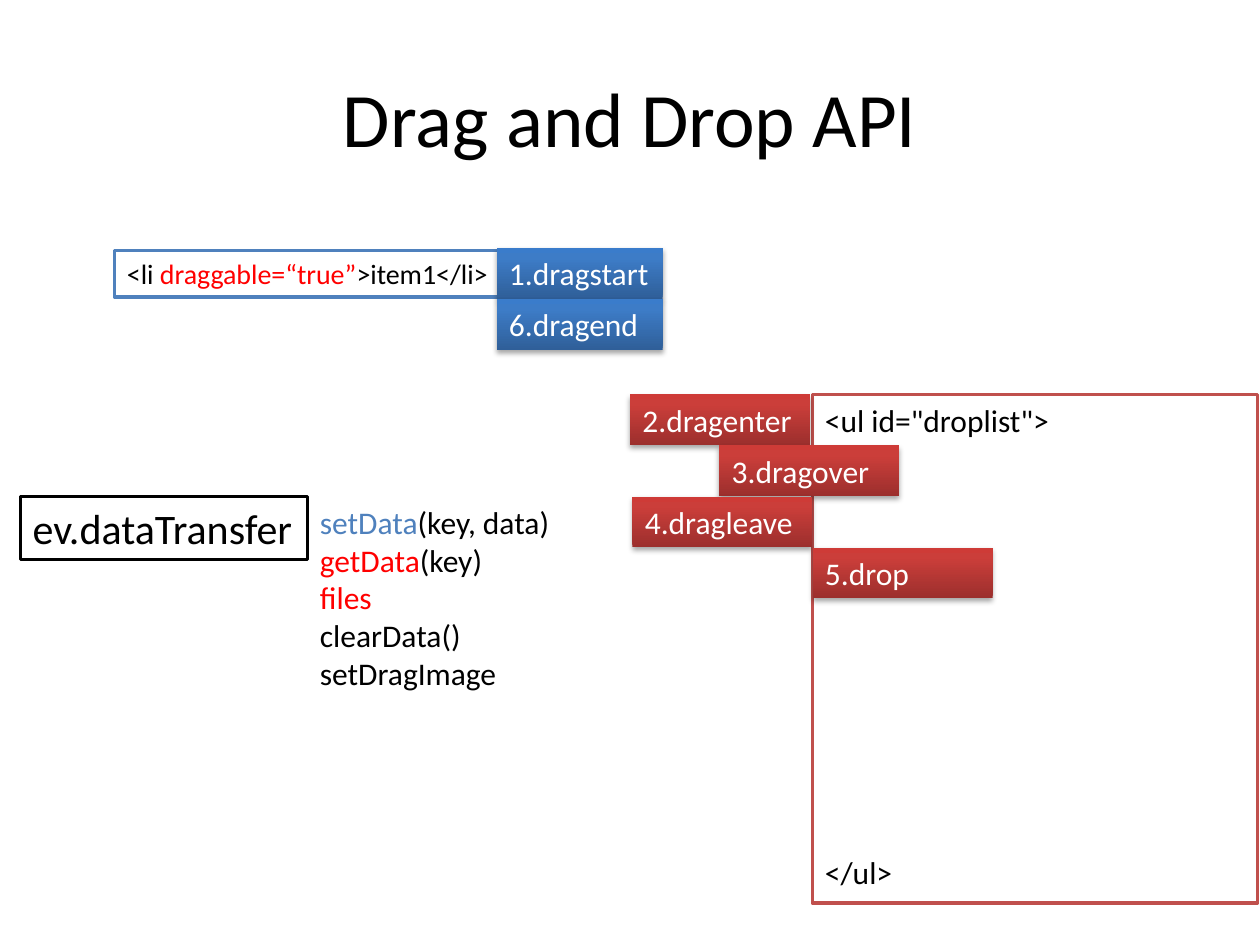
from dataclasses import dataclass

from lxml import etree
from pptx import Presentation
from pptx.dml.color import RGBColor
from pptx.enum.shapes import MSO_SHAPE
from pptx.enum.text import MSO_ANCHOR, MSO_AUTO_SIZE, PP_ALIGN
from pptx.oxml import parse_xml
from pptx.util import Cm, Pt

RECTANGLE = MSO_SHAPE.RECTANGLE
TOP, MIDDLE = MSO_ANCHOR.TOP, MSO_ANCHOR.MIDDLE
LEFT, CENTER = PP_ALIGN.LEFT, PP_ALIGN.CENTER
GROW = MSO_AUTO_SIZE.SHAPE_TO_FIT_TEXT
DRAWING = "http://schemas.openxmlformats.org/drawingml/2006/main"


@dataclass(frozen=True)
class Theme:
    font: str = "Calibri"
    title_size: int = 44
    label_size: int = 24
    body_size: int = 18
    code_size: int = 16
    line_width: int = 2
    black: str = "000000"
    white: str = "FFFFFF"
    accent: str = "FF0000"
    blue: str = "4F81BD"
    red: str = "C0504D"
    # Gradient colours at 0, 80 and 100 percent, from bottom to top
    blue_shades: tuple = ("2F5F99", "3D7CC7", "3A7CCB")
    red_shades: tuple = ("9C2F2D", "CB3E3A", "CE3B37")


class SlideBuilder:
    def __init__(self, page, theme):
        self.page = page
        self.theme = theme

    def set_text(self, frame, lines, size, color=None, align=LEFT, anchor=TOP):
        """Fill a frame; each line is a list of (text, colour) spans."""
        frame.vertical_anchor = anchor
        for index, spans in enumerate(lines):
            para = frame.add_paragraph() if index else frame.paragraphs[0]
            para.alignment = align
            para.font.name = self.theme.font
            para.font.size = Pt(size)
            para.font.color.rgb = RGBColor.from_string(color or self.theme.black)
            for text, span_color in spans:
                span = para.add_run()
                span.text = text
                if span_color:
                    span.font.color.rgb = RGBColor.from_string(span_color)

    def title(self, text, left, top, width, height):
        box = self.page.shapes.title
        box.left, box.top, box.width, box.height = map(Cm, (left, top, width, height))
        self.set_text(box.text_frame, [[(text, None)]], self.theme.title_size,
                      align=CENTER, anchor=MIDDLE)

    def rectangle(self, place, wrap):
        box = self.page.shapes.add_shape(RECTANGLE, *map(Cm, place))
        box.shadow.inherit = False
        box.text_frame.word_wrap = wrap
        box.text_frame.auto_size = GROW
        return box

    def outlined(self, lines, place, line_color, size, wrap=True):
        box = self.rectangle(place, wrap)
        box.fill.solid()
        box.fill.fore_color.rgb = RGBColor.from_string(self.theme.white)
        box.line.color.rgb = RGBColor.from_string(line_color)
        box.line.width = Pt(self.theme.line_width)
        self.set_text(box.text_frame, lines, size)
        return box

    def event(self, text, place, shades, wrap=True):
        box = self.rectangle(place, wrap)
        box.line.fill.background()
        # Three-stop gradient
        stops = "".join(
            f'<a:gs pos="{percent * 1000}"><a:srgbClr val="{shade}"/></a:gs>'
            for percent, shade in zip((0, 80, 100), shades))
        gradient = parse_xml(
            f'<a:gradFill xmlns:a="{DRAWING}" rotWithShape="1"><a:gsLst>{stops}</a:gsLst>'
            '<a:lin ang="16200000" scaled="0"/></a:gradFill>')
        properties = box._element.spPr
        properties.find(f"{{{DRAWING}}}prstGeom").addnext(gradient)
        # Soft shadow below
        effects = properties.find(f"{{{DRAWING}}}effectLst")
        shadow = etree.SubElement(
            effects, f"{{{DRAWING}}}outerShdw", blurRad=str(Pt(3.1)),
            dist=str(Pt(1.8)), dir="5400000", rotWithShape="0")
        tint = etree.SubElement(shadow, f"{{{DRAWING}}}srgbClr", val=self.theme.black)
        etree.SubElement(tint, f"{{{DRAWING}}}alpha", val="35000")
        self.set_text(box.text_frame, [[(text, None)]], self.theme.body_size,
                      self.theme.white)

    def text(self, lines, place):
        box = self.page.shapes.add_textbox(*map(Cm, place))
        box.text_frame.word_wrap = False
        box.text_frame.auto_size = GROW
        self.set_text(box.text_frame, lines, self.theme.body_size)


def main():
    deck = Presentation()
    deck.slide_width, deck.slide_height = Cm(25.4), Cm(19.05)
    theme = Theme()
    page = deck.slides.add_slide(deck.slide_layouts[5])
    builder = SlideBuilder(page, theme)
    builder.title("Drag and Drop API", 1.27, 0.76, 22.86, 3.18)

    # Drop target and draggable item
    target_left, target_top = 16.38, 7.95
    target = builder.outlined(
        [[('<ul id="droplist">', None)], [("</ul>", None)]],
        (target_left, target_top, 8.97, 10.26), theme.red, theme.body_size)
    target.text_frame.paragraphs[1].space_before = Pt(237)
    builder.outlined(
        [[("<li ", None), ("draggable=“true”", theme.accent), (">item1</li>", None)]],
        (2.31, 5.05, 7.8, 0.94), theme.blue, theme.code_size)

    # Events, stacked one row apart
    event_height, row_step = 1.02, 1.03
    for row, name in enumerate(("1.dragstart", "6.dragend")):
        builder.event(name, (10.01, 5 + row * row_step, 3.35, event_height),
                      theme.blue_shades, wrap=row > 0)
    target_events = (("2.dragenter", 12.7), ("3.dragover", 14.5),
                     ("4.dragleave", 12.75), ("5.drop", target_left))
    for row, (name, left) in enumerate(target_events):
        builder.event(name, (left, target_top + row * row_step, 3.63, event_height),
                      theme.red_shades)

    # Data transfer object and its members
    transfer_left, transfer_top, transfer_width = 0.41, 10.01, 5.79
    builder.outlined([[("ev.dataTransfer", None)]],
                     (transfer_left, transfer_top, transfer_width, 1.27),
                     theme.black, theme.label_size, wrap=False)
    builder.text(
        [[("setData", theme.blue), ("(key, data)", None)],
         [("getData", theme.accent), ("(key)", None)],
         [("files", theme.accent)],
         [("clearData()", None)],
         [("setDragImage", None)]],
        (transfer_left + transfer_width, transfer_top, 5.18, 4.11))

    deck.save("out.pptx")


if __name__ == "__main__":
    main()
